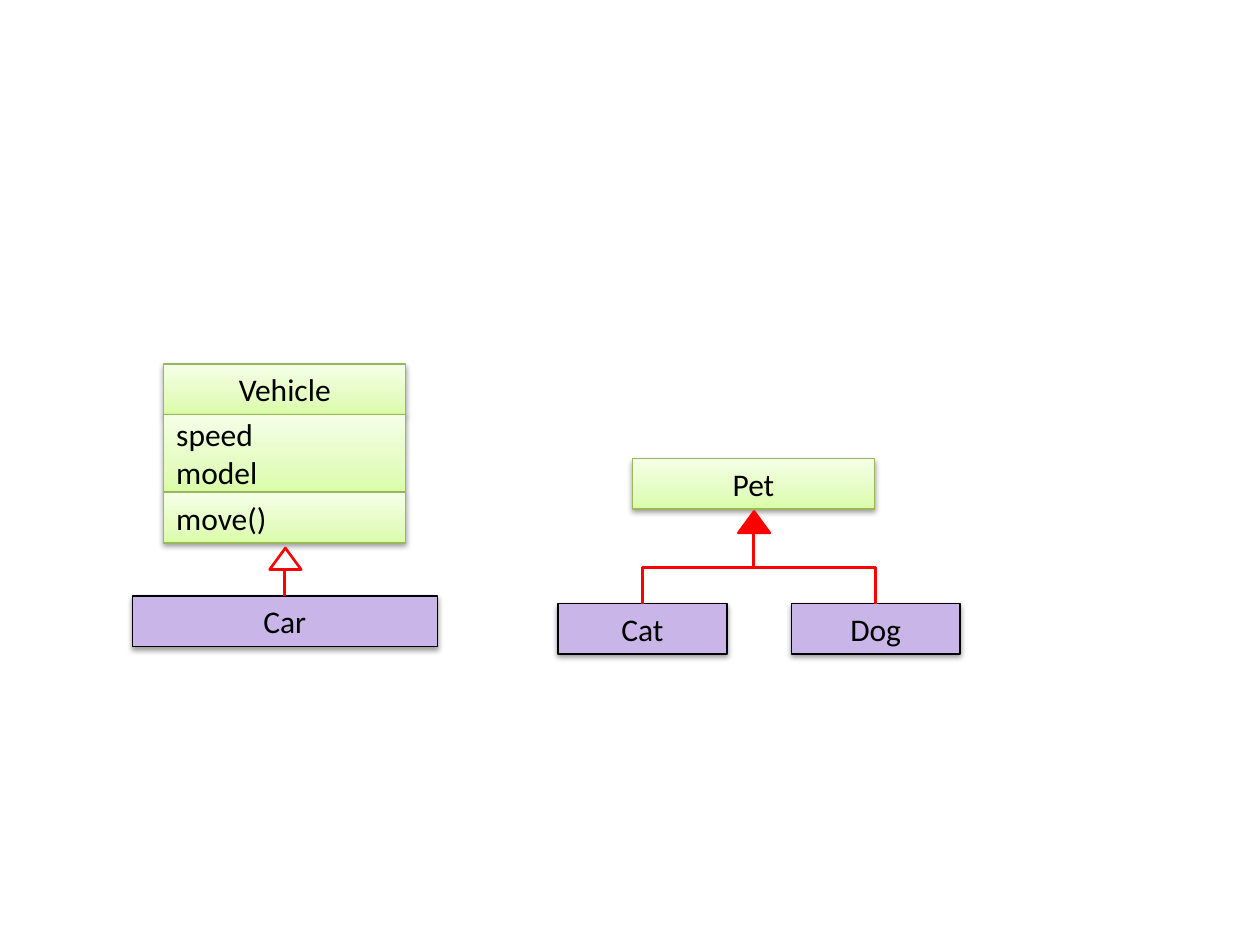
from dataclasses import dataclass

from lxml import etree
from pptx import Presentation
from pptx.dml.color import RGBColor
from pptx.enum.shapes import MSO_CONNECTOR, MSO_SHAPE
from pptx.enum.text import MSO_ANCHOR, MSO_AUTO_SIZE, PP_ALIGN
from pptx.oxml.ns import qn
from pptx.shapes.autoshape import Shape
from pptx.shapes.shapetree import SlideShapes
from pptx.util import Inches, Pt

RECTANGLE = MSO_SHAPE.RECTANGLE
TRIANGLE = MSO_SHAPE.ISOSCELES_TRIANGLE
ELBOW = MSO_CONNECTOR.ELBOW
MIDDLE = MSO_ANCHOR.MIDDLE
GROW = MSO_AUTO_SIZE.SHAPE_TO_FIT_TEXT
NO_FIT = MSO_AUTO_SIZE.NONE
CENTER = PP_ALIGN.CENTER
LEFT = PP_ALIGN.LEFT

BLACK = RGBColor(0x00, 0x00, 0x00)
WHITE = RGBColor(0xFF, 0xFF, 0xFF)
RED = RGBColor(0xFF, 0x00, 0x00)
GREEN = RGBColor(0x98, 0xB9, 0x55)
PURPLE = RGBColor(0xC9, 0xB5, 0xE8)
GREEN_STOPS = (
    (0, RGBColor(0xDA, 0xFD, 0xA7)),
    (35, RGBColor(0xE4, 0xFC, 0xC2)),
    (100, RGBColor(0xF5, 0xFF, 0xE7)),
)

FONT = "Calibri"
ROW_HEIGHT = 0.4


@dataclass(frozen=True)
class ClassBox:
    text: str
    left: float
    top: float
    width: float
    height: float = ROW_HEIGHT
    is_parent: bool = False
    align: PP_ALIGN = CENTER
    fit: MSO_AUTO_SIZE = GROW


@dataclass(frozen=True)
class Arrowhead:
    left: float
    top: float
    fill: RGBColor


@dataclass(frozen=True)
class Link:
    start: tuple[float, float]
    end: tuple[float, float]


CLASS_BOXES = (
    ClassBox("Vehicle", 1.3, 2.89, 1.92, is_parent=True),
    ClassBox("speed\nmodel", 1.3, 3.29, 1.92, 0.61, True, LEFT, NO_FIT),
    ClassBox("move()", 1.3, 3.91, 1.92, is_parent=True, align=LEFT),
    ClassBox("Car", 1.05, 4.73, 2.42),
    ClassBox("Pet", 5.02, 3.64, 1.92, is_parent=True),
    ClassBox("Cat", 4.43, 4.79, 1.34),
    ClassBox("Dog", 6.28, 4.79, 1.34),
)
ARROWHEADS = (Arrowhead(2.14, 4.35, WHITE), Arrowhead(5.86, 4.06, RED))
LINKS = (
    Link((2.26, 4.51), (2.26, 4.73)),
    Link((5.98, 4.22), (5.1, 4.79)),
    Link((5.98, 4.22), (6.95, 4.79)),
)


def fill_green_gradient(shape: Shape) -> None:
    shape.fill.gradient()
    shape.fill.gradient_angle = 90
    stops = shape._element.spPr.find(qn("a:gradFill")).find(qn("a:gsLst"))
    for stop in list(stops):
        stops.remove(stop)
    for position, color in GREEN_STOPS:
        stop = etree.SubElement(stops, qn("a:gs"), pos=str(position * 1000))
        etree.SubElement(stop, qn("a:srgbClr"), val=str(color))


def add_soft_shadow(shape: Shape) -> None:
    shape.shadow.inherit = False
    effects = shape._element.spPr.find(qn("a:effectLst"))
    shadow = etree.SubElement(
        effects, qn("a:outerShdw"),
        blurRad="40000", dist="20000", dir="5400000", rotWithShape="0",
    )
    color = etree.SubElement(shadow, qn("a:srgbClr"), val=str(BLACK))
    etree.SubElement(color, qn("a:alpha"), val="38000")


def draw_class_box(shapes: SlideShapes, box: ClassBox) -> None:
    shape = shapes.add_shape(
        RECTANGLE, Inches(box.left), Inches(box.top),
        Inches(box.width), Inches(box.height),
    )
    if box.is_parent:
        fill_green_gradient(shape)
    else:
        shape.fill.solid()
        shape.fill.fore_color.rgb = PURPLE
    shape.line.color.rgb = GREEN if box.is_parent else BLACK
    shape.line.width = Pt(0.75)
    add_soft_shadow(shape)

    frame = shape.text_frame
    frame.text = box.text
    frame.word_wrap = True
    frame.vertical_anchor = MIDDLE
    frame.auto_size = box.fit
    for paragraph in frame.paragraphs:
        paragraph.alignment = box.align
        for run in paragraph.runs:
            run.font.name = FONT
            run.font.size = Pt(18)
            run.font.color.rgb = BLACK


def draw_arrowhead(shapes: SlideShapes, head: Arrowhead) -> None:
    shape = shapes.add_shape(
        TRIANGLE, Inches(head.left), Inches(head.top), Inches(0.25), Inches(0.17)
    )
    shape.fill.solid()
    shape.fill.fore_color.rgb = head.fill
    shape.line.color.rgb = RED
    shape.line.width = Pt(1.5)
    shape.shadow.inherit = False


def draw_link(shapes: SlideShapes, link: Link) -> None:
    (x1, y1), (x2, y2) = link.start, link.end
    center_x, center_y = (x1 + x2) / 2, (y1 + y2) / 2
    half_drop, half_span = (y2 - y1) / 2, abs(x2 - x1) / 2
    goes_left = x2 < x1
    reach = half_drop if goes_left else -half_drop
    connector = shapes.add_connector(
        ELBOW,
        Inches(center_x - reach), Inches(center_y - half_span),
        Inches(center_x + reach), Inches(center_y + half_span),
    )
    properties = connector._element.spPr
    rotation = 90 if goes_left else 270
    properties.find(qn("a:xfrm")).set("rot", str(rotation * 60000))
    connector.line.color.rgb = RED
    connector.line.width = Pt(1.5)
    etree.SubElement(properties, qn("a:effectLst"))


def main() -> None:
    presentation = Presentation()
    presentation.slide_width = Inches(10)
    presentation.slide_height = Inches(7.5)
    slide = presentation.slides.add_slide(presentation.slide_layouts[6])
    for box in CLASS_BOXES:
        draw_class_box(slide.shapes, box)
    for head in ARROWHEADS:
        draw_arrowhead(slide.shapes, head)
    for link in LINKS:
        draw_link(slide.shapes, link)
    presentation.save("out.pptx")


if __name__ == "__main__":
    main()
